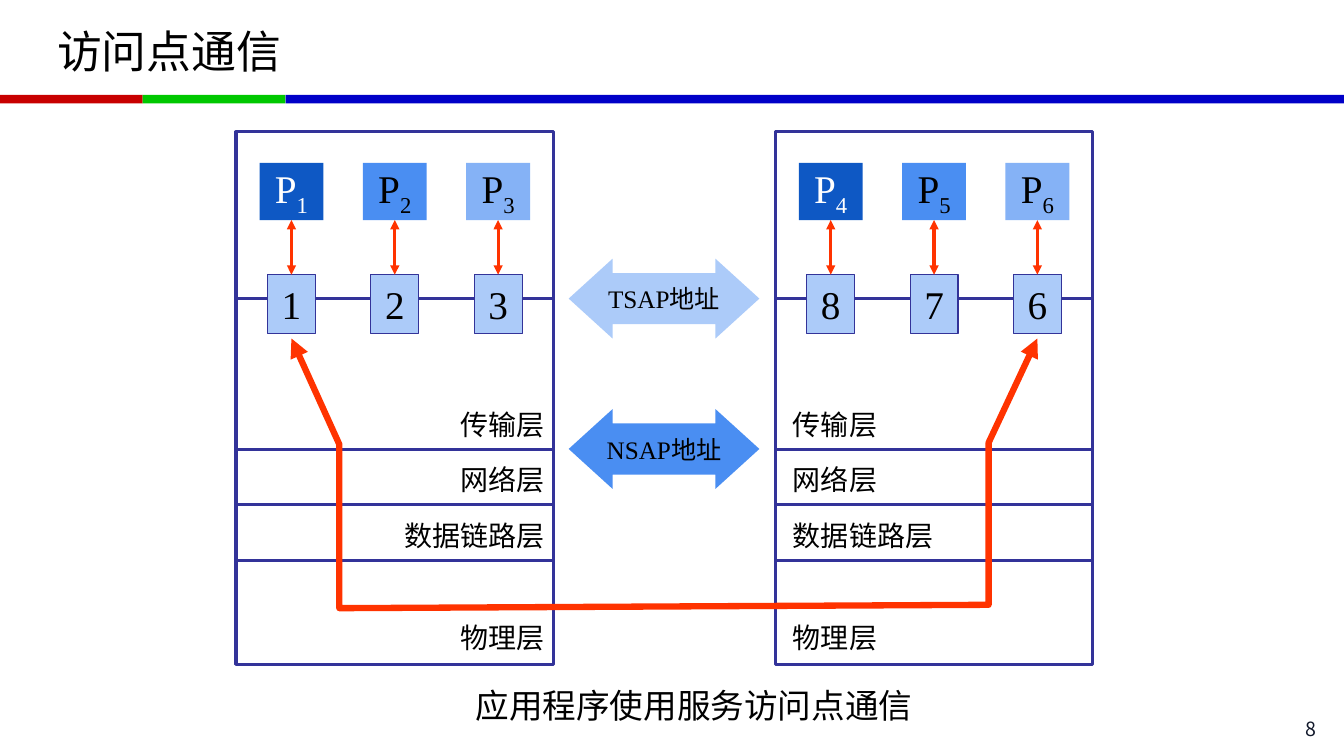
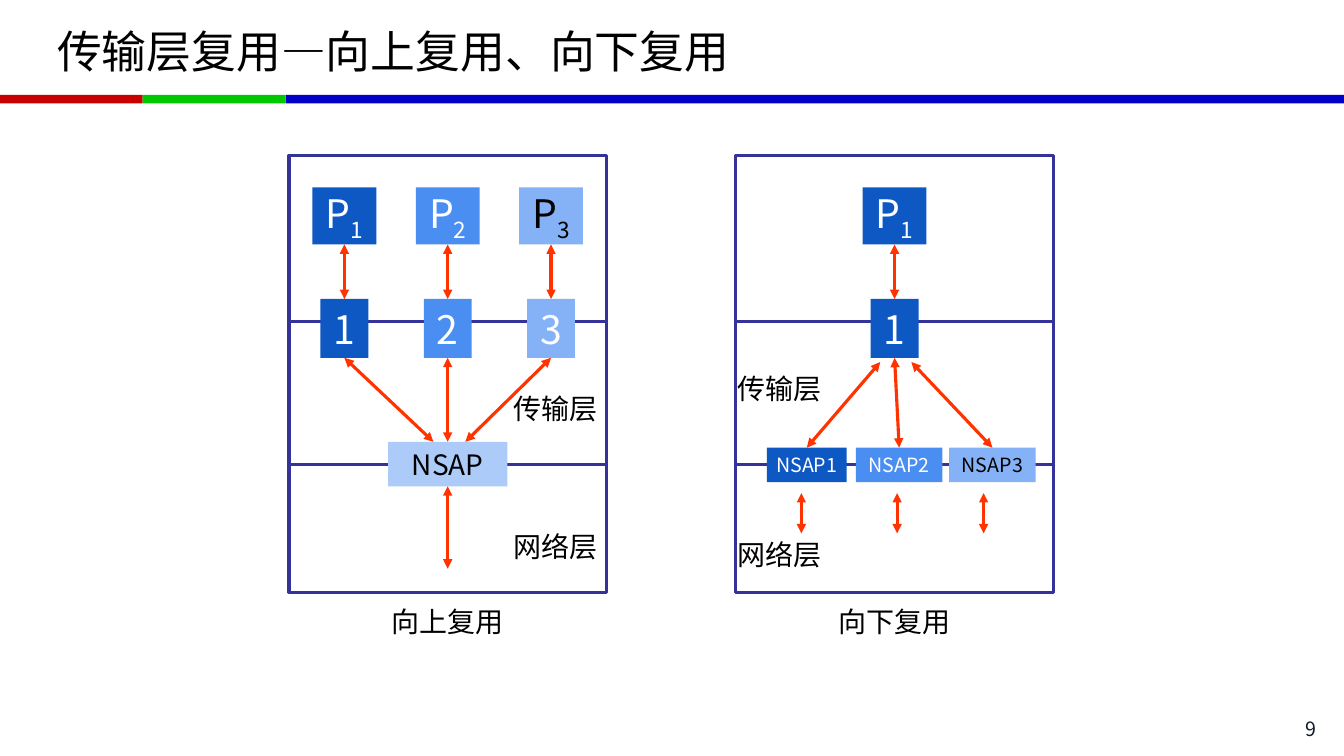
from lxml import etree
from pptx import Presentation
from pptx.dml.color import RGBColor
from pptx.enum.shapes import MSO_CONNECTOR, MSO_SHAPE
from pptx.enum.text import MSO_ANCHOR, PP_ALIGN
from pptx.oxml.ns import qn
from pptx.util import Emu, Pt

RECT, ARROW = MSO_SHAPE.RECTANGLE, MSO_SHAPE.LEFT_RIGHT_ARROW
LINE = MSO_CONNECTOR.STRAIGHT
MID = MSO_ANCHOR.MIDDLE
LEFT, MIDST, RIGHT = PP_ALIGN.LEFT, PP_ALIGN.CENTER, PP_ALIGN.RIGHT
TOP, BASE = 0, 2

HUES = {
    "red": "C80000", "green": "00C800", "blue": "0000C8",
    "deep": "0E58C4", "mid": "4A8EF2", "soft": "85B2F6", "pale": "ACCBF9",
    "frame": "333399", "flow": "FF3300",
    "black": "000000", "white": "FFFFFF", "page": "12192B",
}
RGB = {name: RGBColor.from_string(code) for name, code in HUES.items()}
SANS, SERIF = "Noto Sans CJK SC", "Times New Roman"
TINTS = ["deep", "mid", "soft"]

deck = Presentation()
deck.slide_width, deck.slide_height = Emu(12192000), Emu(6858000)
COLS = 160
CELL = deck.slide_width / COLS


def box(slide, spot, text="", kind=RECT, fill=None, edge=None, thick=2.25,
        font=SANS, size=20, ink="black", align=MIDST, sub=""):
    if kind == "title":
        shape = slide.shapes.title
    elif kind == "text":
        shape = slide.shapes.add_textbox(0, 0, 0, 0)
    else:
        shape = slide.shapes.add_shape(kind, 0, 0, 0, 0)
        shape.shadow.inherit = False
    for name, cells in zip(("left", "top", "width", "height"), spot):
        setattr(shape, name, Emu(round(cells * CELL)))
    if fill:
        shape.fill.solid()
        shape.fill.fore_color.rgb = RGB[fill]
    else:
        shape.fill.background()
    if edge:
        shape.line.color.rgb = RGB[edge]
        shape.line.width = Pt(thick)
    else:
        shape.line.fill.background()
    frame = shape.text_frame
    form = {"word_wrap": True, "vertical_anchor": MID, "margin_left": 0,
            "margin_right": 0, "margin_top": 0, "margin_bottom": 0}
    for name, value in form.items():
        setattr(frame, name, value)
    para = frame.paragraphs[0]
    para.alignment = align
    for part in filter(None, (text, sub)):
        run = para.add_run()
        run.text = part
        run.font.size = Pt(size)
        run.font.color.rgb = RGB[ink]
        run.font.name = font
        props = run.font._element
        etree.SubElement(props, qn("a:ea")).set("typeface", SANS)
        if part is sub:
            props.set("baseline", "-25000")
    return shape


def link(slide, start, end, hue="flow", heads=True, tie=None, bind=None):
    ends = [Emu(round(cells * CELL)) for cells in (*start, *end)]
    wire = slide.shapes.add_connector(LINE, *ends)
    wire.line.color.rgb = RGB[hue]
    wire.line.width = Pt(2.25)
    if heads:
        for tag in ("a:headEnd", "a:tailEnd"):
            etree.SubElement(wire.line._ln, qn(tag)).set("type", "triangle")
    etree.SubElement(wire._element.spPr, qn("a:effectLst"))
    if tie:
        wire.begin_connect(tie, BASE)
    if bind:
        wire.end_connect(bind, TOP)
    return wire


plan = deck.slide_layouts[5]
pages = []
for number, title in ((8, "访问点通信"), (9, "传输层复用—向上复用、向下复用")):
    page = deck.slides.add_slide(plan)
    box(page, (6.8, 1, 146, 10.1), title, "title", size=32, align=LEFT)
    box(page, (142, 85.1, 14.7, 3.4), str(number), "text", size=14, ink="page", align=RIGHT)
    pages.append(page)
access, muxing = pages

bands = ((0, 17, "red"), (17, 17, "green"), (34, COLS - 34, "blue"))
for i, (x, wide, hue) in enumerate(bands):
    band = box(access, (x, 11.3, wide, 1), fill=hue).element
    band.nvSpPr.cNvPr.id = 20 + i
    plan.shapes.element.insert(2 + i, band)

WIDE, LANE, STEP = 37.8, 6.6, 12.3
HALF = WIDE / 2
PW, PH, NW, NH = 7.6, 6.8, 5.7, 7

layers = (("传输层", 47.9), ("网络层", 54.5), ("数据链路层", 61.1), ("物理层", 73.3))
hosts = ((28.1, "123", "123", 16.7, RIGHT), (92.3, "456", "876", 2.1, LEFT))
for x, tasks, ports, shift, align in hosts:
    box(access, (x, 15.7, WIDE, 63.4), edge="frame")
    for y in (35.5, 53.5, 60.1, 66.7):
        link(access, (x, y), (x + WIDE, y), "frame", False)
    for i, (task, port, tint) in enumerate(zip(tasks, ports, TINTS)):
        mid = x + LANE + i * STEP
        ink = "white" if tint == "deep" else "black"
        proc = box(access, (mid - PW / 2, 19.4, PW, PH), "P", fill=tint,
                   font=SERIF, size=28, ink=ink, sub=task)
        gate = box(access, (mid - NW / 2, 32.7, NW, NH), port, fill="pale",
                   edge="frame", thick=0.75, font=SERIF, size=28)
        link(access, (mid, 26.2), (mid, 32.7), tie=proc, bind=gate)
    for label, y in layers:
        box(access, (x + shift, y, 20, 5.2), label, "text", font=SERIF, align=align)

route = [(34.7, 40.3), (40.4, 52.9), (40.4, 72.4), (117.7, 72), (117.7, 52.7), (123.5, 40.3)]
spots = [(round(x * CELL), round(y * CELL)) for x, y in route]
pen = access.shapes.build_freeform(*spots[0])
pen.add_line_segments(spots[1:], close=False)
trail = pen.convert_to_shape()
trail.shadow.inherit = False
trail.fill.background()
trail.line.color.rgb = RGB["flow"]
trail.line.width = Pt(4.5)
for tag in ("a:headEnd", "a:tailEnd"):
    etree.SubElement(trail.line._ln, qn(tag)).set("type", "triangle")

for text, y, hue in (("TSAP地址", 30.8, "pale"), ("NSAP地址", 48.7, "mid")):
    arrow = box(access, (67.7, y, 22.7, 9.5), text, ARROW, fill=hue, font=SERIF, size=18)
    arrow.adjustments[0], arrow.adjustments[1] = 0.64, 0.55
box(access, (52.6, 80.9, 60, 6), "应用程序使用服务访问点通信", "text", font=SERIF, size=24)

GATE, GAP = 35.6, 43.1
FOOT = GATE + NH
sides = (
    (34.4, (0, 1, 2), "向上复用", 16.7, RIGHT, (46, 62.4)),
    (87.6, (1,), "向下复用", 0.2, LEFT, (43.6, 63.4)),
)
gates = []
for x, lanes, name, shift, align, rows in sides:
    box(muxing, (x, 18.5, WIDE, 52), edge="frame")
    for y in (38.3, 55.3):
        link(muxing, (x, y), (x + WIDE, y), "frame", False)
    for i, lane in enumerate(lanes):
        mid = x + LANE + lane * STEP
        ink = "black" if i == 2 else "white"
        proc = box(muxing, (mid - PW / 2, 22.3, PW, PH), "P", fill=TINTS[i],
                   size=28, ink=ink, sub=str(i + 1))
        gate = box(muxing, (mid - NW / 2, GATE, NW, NH), str(i + 1),
                   fill=TINTS[i], size=28, ink="white")
        link(muxing, (mid, 29.1), (mid, GATE), tie=proc, bind=gate)
        gates.append((mid, gate))
    for label, y in zip(("传输层", "网络层"), rows):
        box(muxing, (x + shift, y, 20, 5.2), label, "text", align=align)
    box(muxing, (x + HALF - 10, 71.4, 20, 5.2), name, "text")

*fan, (hub, root) = gates
core = fan[1][0]
pool = box(muxing, (core - 7.1, 52.6, 14.2, 5.3), "NSAP", fill="pale")
for (mid, gate), x in zip(fan, (51.6, core, 55.4)):
    link(muxing, (mid, FOOT), (x, 52.6), tie=gate, bind=pool if x == core else None)
link(muxing, (core, 57.9), (core, 67.7), tie=pool)

ports = ((91.3, 9.5, 104.8, 95.4), (101.9, 10.3, hub, 106.8), (113, 10.3, 108.5, 117.1))
for i, (x, wide, start, drop) in enumerate(ports):
    port = box(muxing, (x, 53.3, wide, 4.1), f"NSAP{i + 1}", fill=TINTS[i],
               size=14, ink="black" if i == 2 else "white")
    joint = root if start == hub else None
    link(muxing, (start, GAP), (x + wide / 2, 53.3), tie=joint, bind=port)
    link(muxing, (drop, 58.7), (drop, 63.5))

deck.save("out.pptx")
